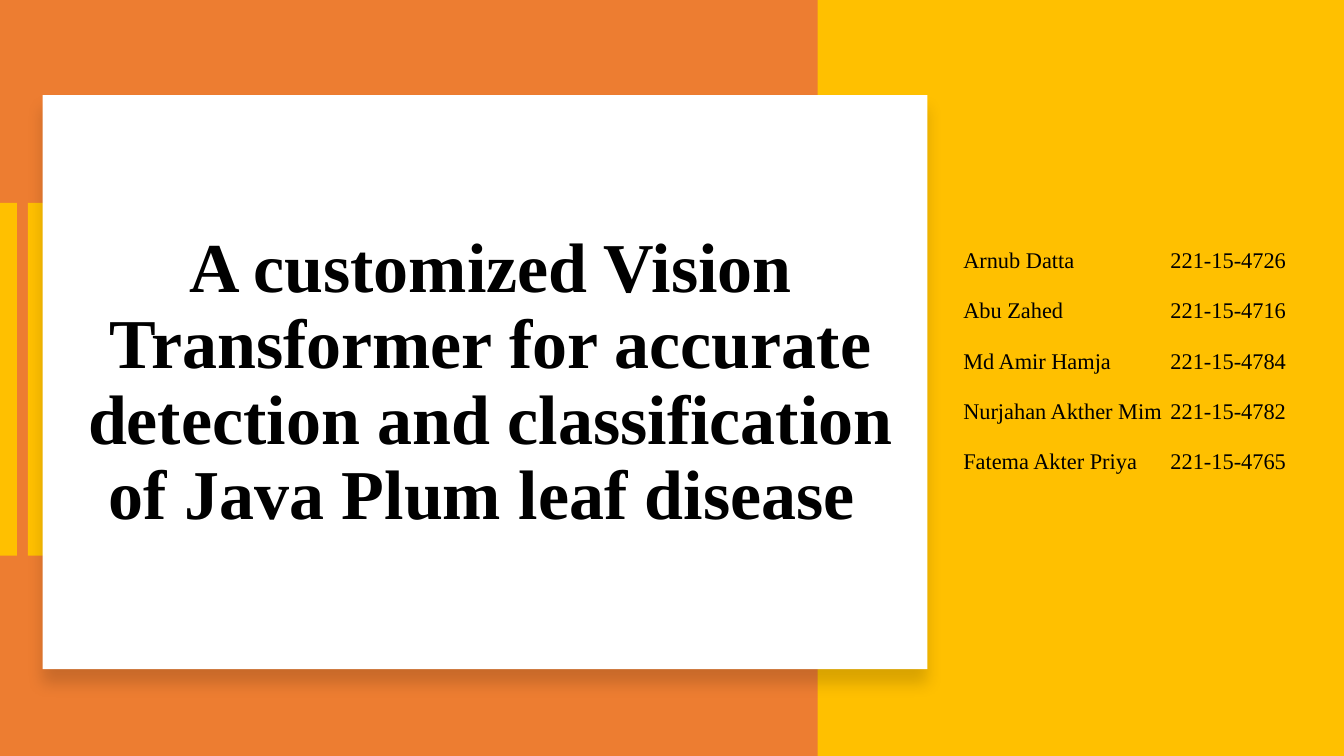
from dataclasses import dataclass

from lxml.etree import SubElement
from pptx import Presentation
from pptx.dml.color import RGBColor
from pptx.enum.shapes import MSO_SHAPE
from pptx.enum.text import MSO_ANCHOR, PP_ALIGN
from pptx.oxml.ns import qn
from pptx.util import Pt


@dataclass(frozen=True)
class Theme:
    background: str = "ED7D31"
    accent: str = "FFC000"
    card: str = "FFFFFF"
    ink: str = "000000"
    font: str = "Times New Roman"
    title_size: int = 50
    author_size: int = 16


TITLE = (
    "A customized Vision Transformer for accurate detection "
    "and classification of Java Plum leaf disease "
)
AUTHORS = [
    ("Arnub Datta", "221-15-4726"),
    ("Abu Zahed", "221-15-4716"),
    ("Md Amir Hamja", "221-15-4784"),
    ("Nurjahan Akther Mim", "221-15-4782"),
    ("Fatema Akter Priya", "221-15-4765"),
]
SLIDE_WIDTH, SLIDE_HEIGHT = 960, 540
PANEL_LEFT = 584


def write_text(paragraph, text, *, font, size, color, bold=False,
               align=PP_ALIGN.LEFT, line_spacing=1.0, space_before=0):
    paragraph.alignment = align
    paragraph.line_spacing = line_spacing
    paragraph.space_before = Pt(space_before)
    run = paragraph.add_run()
    run.text = text
    run.font.name = font
    run.font.size = Pt(size)
    run.font.bold = bold
    run.font.color.rgb = RGBColor.from_string(color)


def add_tab_stop(paragraph, position):
    tab_list = SubElement(paragraph._p.get_or_add_pPr(), qn("a:tabLst"))
    SubElement(tab_list, qn("a:tab"), pos=str(Pt(position)), algn="l")


def add_soft_shadow(shape, color, *, blur, distance, opacity):
    """Cast a blurred shadow straight down; opacity is in percent."""
    effects = shape._element.spPr.find(qn("a:effectLst"))
    shadow = SubElement(
        effects, qn("a:outerShdw"), blurRad=str(Pt(blur)), dist=str(Pt(distance)),
        dir="5400000", algn="t", rotWithShape="0")
    shadow_color = SubElement(shadow, qn("a:srgbClr"), val=color)
    SubElement(shadow_color, qn("a:alpha"), val=str(opacity * 1000))


class SlideBuilder:
    def __init__(self, slide, theme):
        self.slide = slide
        self.theme = theme

    def fill_background(self):
        fill = self.slide.background.fill
        fill.solid()
        fill.fore_color.rgb = RGBColor.from_string(self.theme.background)

    def add_rectangle(self, left, top, width, height, color):
        shape = self.slide.shapes.add_shape(
            MSO_SHAPE.RECTANGLE, Pt(left), Pt(top), Pt(width), Pt(height))
        shape.shadow.inherit = False
        shape.fill.solid()
        shape.fill.fore_color.rgb = RGBColor.from_string(color)
        shape.line.fill.background()
        return shape

    def add_text_box(self, left, top, width, height, lines, *,
                     tab_stop=None, bottom_inset=3.6, **text_format):
        box = self.slide.shapes.add_textbox(Pt(left), Pt(top), Pt(width), Pt(height))
        frame = box.text_frame
        frame.word_wrap = True
        frame.vertical_anchor = MSO_ANCHOR.MIDDLE
        frame.margin_bottom = Pt(bottom_inset)
        for index, line in enumerate(lines):
            paragraph = frame.add_paragraph() if index else frame.paragraphs[0]
            write_text(paragraph, line, font=self.theme.font,
                       color=self.theme.ink, **text_format)
            if tab_stop:
                add_tab_stop(paragraph, tab_stop)


def main():
    presentation = Presentation()
    presentation.slide_width = Pt(SLIDE_WIDTH)
    presentation.slide_height = Pt(SLIDE_HEIGHT)
    theme = Theme()
    builder = SlideBuilder(
        presentation.slides.add_slide(presentation.slide_layouts[6]), theme)

    builder.fill_background()
    for bar_left in (0, 20):
        builder.add_rectangle(bar_left, 145, 12.2, 252, theme.accent)
    builder.add_rectangle(
        PANEL_LEFT, 0, SLIDE_WIDTH - PANEL_LEFT, SLIDE_HEIGHT, theme.accent)
    card = builder.add_rectangle(30.5, 68, 632, 410, theme.card)
    add_soft_shadow(card, theme.ink, blur=11, distance=10, opacity=15)

    builder.add_text_box(
        50.4, 116, 600.5, 316, [TITLE], size=theme.title_size, bold=True,
        align=PP_ALIGN.CENTER, line_spacing=0.9)
    builder.add_text_box(
        681, 145.5, 259, 257, [f"{name}\t{number}" for name, number in AUTHORS],
        size=theme.author_size, line_spacing=1.3, space_before=11,
        tab_stop=148, bottom_inset=42.6)

    presentation.save("out.pptx")


if __name__ == "__main__":
    main()
